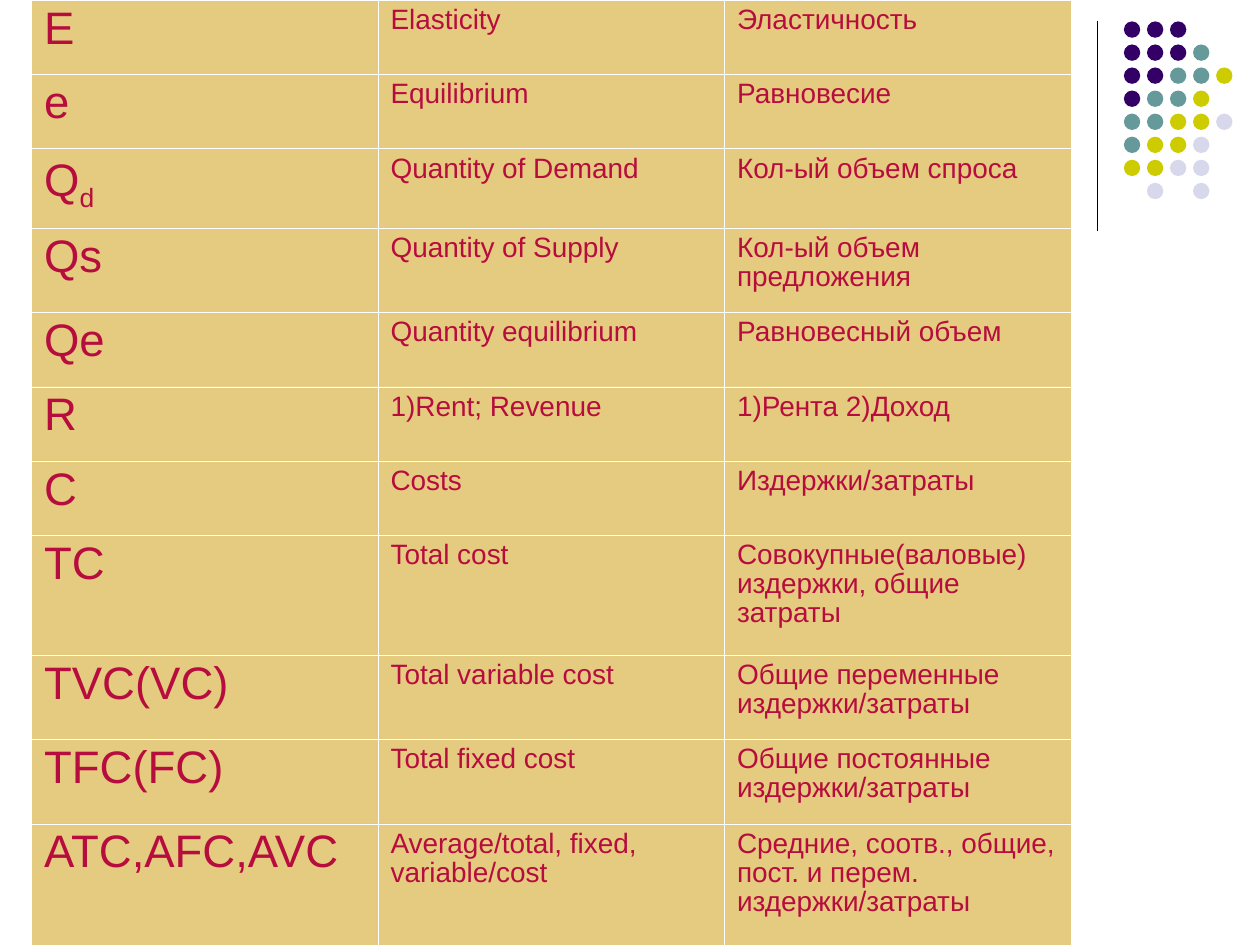
from lxml.etree import SubElement
from pptx import Presentation
from pptx.dml.color import RGBColor
from pptx.enum.shapes import MSO_CONNECTOR, MSO_SHAPE
from pptx.oxml.ns import qn
from pptx.util import Inches, Pt

TERMS = [
    ("E", "Elasticity", "Эластичность"),
    ("e", "Equilibrium", "Равновесие"),
    ("Qd", "Quantity of Demand", "Кол-ый объем спроса"),
    ("Qs", "Quantity of Supply", "Кол-ый объем предложения"),
    ("Qe", "Quantity equilibrium", "Равновесный объем"),
    ("R", "1)Rent; Revenue", "1)Рента 2)Доход"),
    ("C", "Costs", "Издержки/затраты"),
    ("TC", "Total cost", "Совокупные(валовые) издержки, общие затраты"),
    ("TVC(VC)", "Total variable cost", "Общие переменные издержки/затраты"),
    ("TFC(FC)", "Total fixed cost", "Общие постоянные издержки/затраты"),
    ("ATC,AFC,AVC", "Average/total, fixed, variable/cost",
     "Средние, соотв., общие, пост. и перем. издержки/затраты"),
]
ROW_HEIGHTS = [0.59, 0.59, 0.63, 0.67, 0.59, 0.59, 0.59, 0.95, 0.67, 0.67, 1.04]
DOT_ROWS = ["PPP", "PPPT", "PPTTY", "PTTY", "TTYYL", "TYYL", "YYLL", " L L"]
DOT_COLORS = {"P": "330066", "T": "669999", "Y": "CCCC00", "L": "D8D8EC"}


def color(value):
    return RGBColor.from_string(value)


def paint(fill, value):
    fill.solid()
    fill.fore_color.rgb = color(value)


def add_dots(page, left, top, pitch, size):
    """Grid of coloured dots."""
    group = page.shapes.add_group_shape()
    for row, marks in enumerate(DOT_ROWS):
        for column, mark in enumerate(marks):
            if mark == " ":
                continue
            dot = group.shapes.add_shape(
                MSO_SHAPE.OVAL, Inches(left + column * pitch),
                Inches(top + row * pitch), Inches(size), Inches(size))
            dot.shadow.inherit = False
            paint(dot.fill, DOT_COLORS[mark])
            dot.line.fill.background()


def add_corner(page, left, top, height):
    """Vertical rule with the dots to its right."""
    rule = page.shapes.add_connector(
        MSO_CONNECTOR.STRAIGHT, Inches(left), Inches(top),
        Inches(left), Inches(top + height))
    rule.line.color.rgb = color("000000")
    rule.line.width = Pt(0.74)
    SubElement(rule._element.spPr, qn("a:effectLst"))
    add_dots(page, left + 0.21, top, 0.183, 0.13)


def set_borders(cell, widths):
    """White edges, placed ahead of the cell fill."""
    properties = cell._tc.get_or_add_tcPr()
    for position, (side, width) in enumerate(widths.items()):
        edge = SubElement(properties, qn(f"a:ln{side}"), w=str(Pt(width)))
        solid = SubElement(edge, qn("a:solidFill"))
        SubElement(solid, qn("a:srgbClr"), val="FFFFFF")
        properties.insert(position, edge)


def fill_cell(cell, text, size, before):
    paint(cell.fill, "CC9900")
    tint = cell._tc.tcPr.find(".//" + qn("a:srgbClr"))
    SubElement(tint, qn("a:alpha"), val="50000")
    para = cell.text_frame.paragraphs[0]
    para_format = {"line_spacing": 0.93, "space_before": Pt(before)}
    for name, value in para_format.items():
        setattr(para, name, value)
    # The demand symbol carries a subscript
    parts = ["Q", "d"] if text == "Qd" else [text]
    for index, part in enumerate(parts):
        span = para.add_run()
        span.text = part
        for name, value in {"size": Pt(size), "name": "Arial"}.items():
            setattr(span.font, name, value)
        span.font.color.rgb = color("B70D3E")
        if index:
            span.font._element.set("baseline", "-25000")


def add_terms(page, left, top, width):
    """Table of symbols, English terms and Russian terms."""
    rows, columns = len(TERMS), len(TERMS[0])
    table = page.shapes.add_table(
        rows, columns, Inches(left), Inches(top),
        Inches(width), Inches(sum(ROW_HEIGHTS))).table
    table.first_row = table.horz_banding = False
    for column in table.columns:
        column.width = Inches(width / columns)
    for r, (height, terms) in enumerate(zip(ROW_HEIGHTS, TERMS)):
        table.rows[r].height = Inches(height)
        for c, text in enumerate(terms):
            cell = table.cell(r, c)
            fill_cell(cell, text, *((16, 4.2) if c else (26, 7)))
            outer = {"L": c == 0, "R": c == columns - 1,
                     "T": r == 0, "B": r == rows - 1}
            set_borders(cell, {side: 0.51 if is_outer else 0.23
                               for side, is_outer in outer.items()})


deck = Presentation()
deck.slide_width, deck.slide_height = Inches(10), Inches(7.5)
page = deck.slides.add_slide(deck.slide_layouts[6])
add_corner(page, 8.71, 0.17, 1.66)
add_terms(page, 0.25, 0, 8.25)
deck.save("out.pptx")
